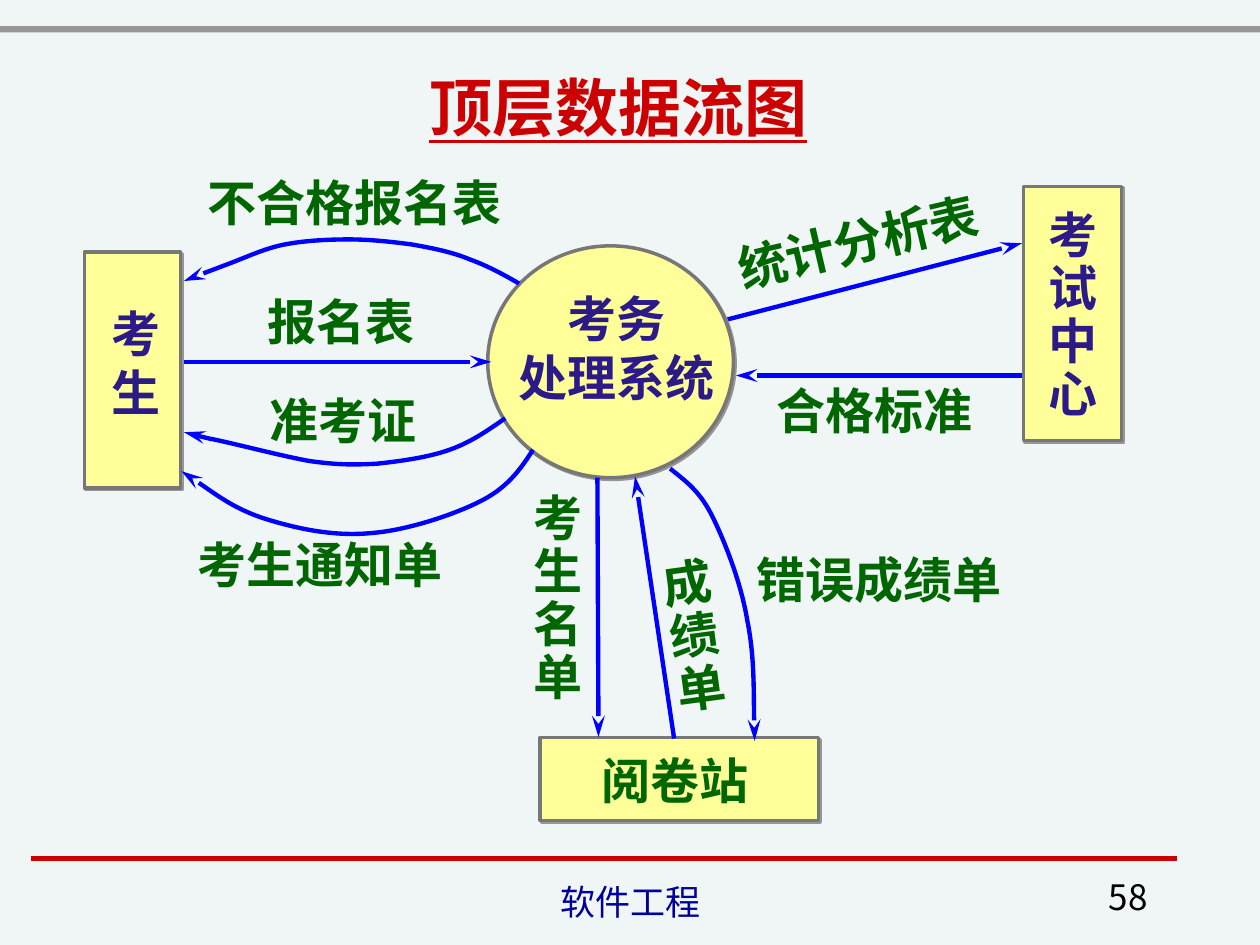
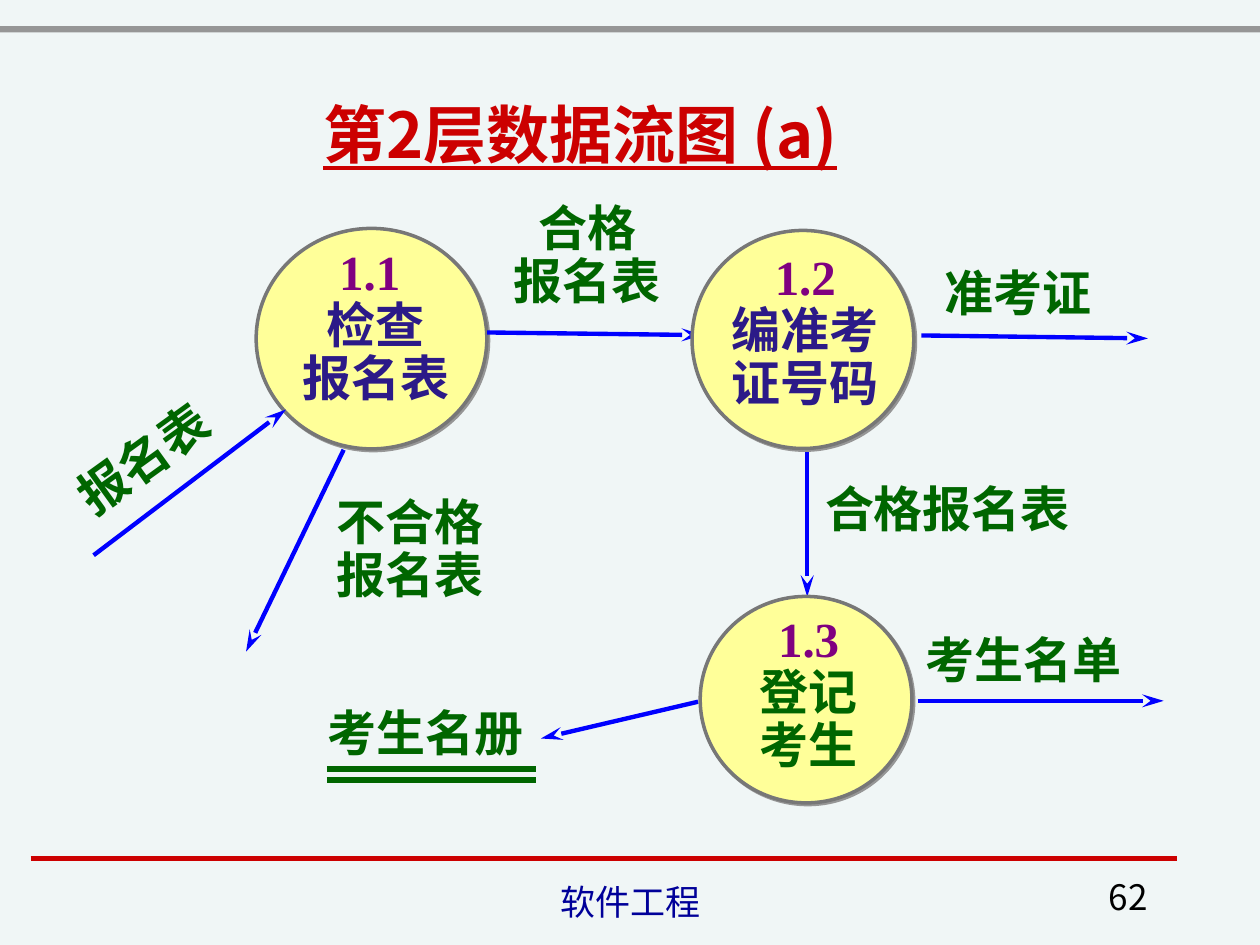
from collections import namedtuple

from lxml.etree import SubElement
from pptx import Presentation
from pptx.dml.color import RGBColor
from pptx.enum.shapes import MSO_CONNECTOR as CONN, MSO_SHAPE as SHAPE
from pptx.enum.text import MSO_ANCHOR as ANCHOR, PP_ALIGN as ALIGN
from pptx.oxml.ns import qn
from pptx.util import Pt

PAPER = RGBColor(0xF0, 0xF6, 0xF6)
GREY = RGBColor(0x96, 0x96, 0x96)
EDGE = RGBColor(0x77, 0x77, 0x77)
RED = RGBColor(0xCC, 0x00, 0x00)
YELLOW = RGBColor(0xFF, 0xFF, 0x99)
BLUE = RGBColor(0x00, 0x00, 0xFF)
NAVY = RGBColor(0x00, 0x00, 0x99)
INDIGO = RGBColor(0x2C, 0x1A, 0x88)
GREEN = RGBColor(0x00, 0x66, 0x00)
PURPLE = RGBColor(0x80, 0x00, 0x80)
BLACK = RGBColor(0x00, 0x00, 0x00)

SANS = "Noto Sans CJK SC"
SANS_JP = "Noto Sans CJK JP"
SERIF = "Times New Roman"
NARROW = "Arial Narrow"
TIGHT = 0.9

Region = namedtuple("Region", "s x y w h")


def place(g, box):
    x, y, w, h = box
    return Pt(g.x + x), Pt(g.y + y), Pt(w), Pt(h)


def add_text(g, box, text, size=28, color=GREEN, first_color=None, font=SERIF,
             ea=SANS, bold=True, underline=None, align=ALIGN.LEFT,
             anchor=ANCHOR.TOP, leading=None, rotation=0):
    tb = g.s.shapes.add_textbox(*place(g, box))
    tb.rotation = rotation
    tf = tb.text_frame
    tf.word_wrap = True
    tf.vertical_anchor = anchor
    for i, line in enumerate(text.split("\n")):
        p = tf.add_paragraph() if i else tf.paragraphs[0]
        p.alignment = align
        p.line_spacing = leading
        r = p.add_run()
        r.text = line
        f = r.font
        f.size, f.bold, f.underline, f.name = Pt(size), bold, underline, font
        f.color.rgb = color if i or first_color is None else first_color
        SubElement(r._r.get_or_add_rPr(), qn("a:ea"), typeface=ea)


def add_title(g, box, text, **style):
    add_text(g, box, text, size=36, color=RED, underline=True, **style)


def add_line(g, start, end, color=BLUE, width=2.5, arrow=True):
    (x1, y1), (x2, y2) = start, end
    c = g.s.shapes.add_connector(CONN.STRAIGHT, Pt(g.x + x1), Pt(g.y + y1),
                                 Pt(g.x + x2), Pt(g.y + y2))
    c.line.color.rgb = color
    c.line.width = Pt(width)
    if arrow:
        add_head(c)
    SubElement(c._element.spPr, qn("a:effectLst"))


def add_head(shape):
    SubElement(shape.line._get_or_add_ln(), qn("a:tailEnd"),
               type="stealth", w="med", len="lg")


def add_curve(g, start, *segments):
    ends = [(Pt(g.x + x), Pt(g.y + y)) for _, _, (x, y) in segments]
    fb = g.s.shapes.build_freeform(Pt(g.x + start[0]), Pt(g.y + start[1]))
    fb.add_line_segments(ends, close=False)
    sp = fb.convert_to_shape()
    for line, segment in zip(list(sp._element.iter(qn("a:lnTo"))), segments):
        outline = line.getparent()
        bend = SubElement(outline, qn("a:cubicBezTo"))
        for x, y in segment:
            SubElement(bend, qn("a:pt"), x=str(Pt(g.x + x) - sp.left),
                       y=str(Pt(g.y + y) - sp.top))
        outline.remove(line)
    sp.fill.background()
    sp.line.color.rgb = BLUE
    sp.line.width = Pt(2.5)
    sp.shadow.inherit = False
    add_head(sp)


def add_node(g, kind, box, text_box, text, **style):
    sp = g.s.shapes.add_shape(kind, *place(g, box))
    sp.fill.solid()
    sp.fill.fore_color.rgb = YELLOW
    sp.line.color.rgb = EDGE
    sp.line.width = Pt(2)
    sp.shadow.inherit = False
    effects = sp._element.spPr.find(qn("a:effectLst"))
    shadow = SubElement(effects, qn("a:outerShdw"), blurRad="0",
                        dist=str(Pt(1.4)), dir="2700000", algn="ctr")
    SubElement(shadow, qn("a:srgbClr"), val=str(GREY))
    x, y, w, h = box
    add_text(Region(g.s, g.x + x, g.y + y, w, h), text_box, text, **style)


def add_process(g, box, text_box, text, color=INDIGO):
    add_node(g, SHAPE.OVAL, box, text_box, text, color=color,
             first_color=PURPLE, align=ALIGN.CENTER, leading=TIGHT)


def add_frame(g, number):
    band = g.s.shapes.add_shape(SHAPE.RECTANGLE, *place(g, (0, 15, g.w, 3.6)))
    band.fill.solid()
    band.fill.fore_color.rgb = GREY
    band.line.fill.background()
    band.shadow.inherit = False
    add_line(g, (17.5, 490.4), (672.5, 490.4), RED, 3, arrow=False)
    footer = dict(size=20, bold=False, anchor=ANCHOR.BOTTOM)
    add_text(g, (246.2, 502.6, 228, 28), "软件工程", color=NAVY, font=NARROW,
             align=ALIGN.CENTER, **footer)
    add_text(g, (513, 500.5, 150, 27.4), str(number), color=BLACK, font=SANS,
             align=ALIGN.RIGHT, **footer)


def draw_top_level(g):
    add_line(g, (597.6, 214.6), (420.5, 214.6))
    add_line(g, (403.2, 185.8), (584, 139))
    add_title(g, (161.3, 36, 383.8, 49.7), "顶层数据流图",
              align=ALIGN.CENTER, anchor=ANCHOR.MIDDLE)

    add_node(g, SHAPE.RECTANGLE, (48.2, 144, 54.9, 134.8),
             (8.7, 26, 46.8, 75), "考\n生", color=INDIGO, font=SANS)
    add_node(g, SHAPE.OVAL, (278.7, 140.5, 140.4, 132.5),
             (1.7, 21, 143.3, 75), "考务\n处理系统", color=INDIGO, font=SANS,
             align=ALIGN.CENTER)
    add_node(g, SHAPE.RECTANGLE, (584.8, 106.6, 56.2, 145.2),
             (7, 10.4, 46.8, 128), "考\n试\n中\n心", color=INDIGO, font=SANS,
             leading=TIGHT)
    add_node(g, SHAPE.RECTANGLE, (308.7, 421.5, 159.1, 47.5),
             (28.2, 4, 105, 41), "阅卷站")

    add_line(g, (105.1, 206.8), (280.8, 206.8))
    add_line(g, (341.4, 273), (342, 421.2))
    add_line(g, (385.2, 422), (362.9, 272.2))

    for box, label, style in [
        ((111.6, 95, 221.8, 41), "不合格报名表", {}),
        ((145.6, 163, 104.4, 41), "报名表", {}),
        ((146.9, 219.6, 144, 41), "准考证", {}),
        ((105.8, 301.7, 198, 41), "考生通知单", {}),
        ((375.8, 314.8, 54, 98), "成\n绩\n单", dict(leading=TIGHT, rotation=-7.8)),
        ((436.5, 213.8, 137.5, 41), "合格标准", {}),
        ((421, 314.2, 162.7, 37.4), "错误成绩单",
         dict(leading=TIGHT, align=ALIGN.CENTER)),
        ((298, 278.8, 54, 128.2), "考生名\n单", dict(leading=TIGHT)),
        ((412.8, 113.8, 185.8, 41), "统计分析表", dict(rotation=-13.2)),
    ]:
        add_text(g, box, label, font=SANS, **style)

    add_curve(g, (296.6, 162),
              ((288, 157), (278.6, 151.9), (268.6, 148.3)),
              ((258.5, 144), (247, 141.8), (235.4, 139.7)),
              ((223.9, 138.2), (211.7, 136.8), (199.4, 136.8)),
              ((187.2, 136.8), (174.2, 137.5), (162.7, 139.7)),
              ((151.9, 141.8), (142.6, 146.2), (133.2, 149.8)),
              ((123.8, 153.4), (110.2, 158.4), (105.1, 160.6)))
    add_curve(g, (288.7, 239),
              ((279.4, 245.5), (269.3, 252.7), (257, 257)),
              ((244.8, 261.4), (229, 263.5), (215.3, 265)),
              ((201.6, 265.7), (193, 265.7), (177.1, 263.5)),
              ((160.6, 260.6), (131, 252.7), (119.5, 250.6)),
              ((107.3, 247.7), (107.3, 247.7), (105.1, 247)))
    add_curve(g, (304.6, 257),
              ((298.1, 267.1), (290.9, 277.9), (275.8, 285.8)),
              ((260.6, 293.8), (232.6, 303.1), (212.4, 304.6)),
              ((191.5, 306.7), (170.6, 302.4), (151.9, 296.6)),
              ((133.9, 290.9), (111.6, 274.3), (103.7, 269.3)))
    add_curve(g, (383, 267.8),
              ((391, 274.3), (399.6, 280.1), (406.8, 294.5)),
              ((414, 308.9), (423.4, 332.6), (427, 354.2)),
              ((431.3, 375.1), (430.6, 411.8), (431.3, 423.4)))


def draw_second_level(g):
    add_title(g, (177.5, 51.1, 339, 50.4), "第2层数据流图 (a)",
              font=SANS_JP, ea=SANS_JP)
    add_process(g, (146.4, 130.5, 131.8, 126),
                (-6.5, 8, 149.8, 98), "1.1 \n检查\n报名表")
    for start, end in [
        ((53.5, 317.3), (163.4, 234)),
        ((278.4, 190), (401.8, 191.5)),
        ((526.5, 191.7), (656, 193.4)),
        ((196.4, 257), (140.6, 372.4)),
        ((461.3, 257), (461.3, 341.1)),
        ((398.9, 401), (309.1, 422)),
        ((524.4, 400.5), (665, 400.5)),
    ]:
        add_line(g, start, end)
    add_process(g, (395.5, 131.7, 126.7, 124.6),
                (2.7, 9.6, 124, 98), "1.2\n编准考证号码")
    add_process(g, (400.1, 340.8, 121, 118),
                (-1, 7.2, 126, 98), "1.3\n登记\n考生", color=GREEN)

    for box, label, style in [
        ((31, 236.2, 116, 41), "报名表", dict(rotation=-35.8)),
        ((532.8, 146.2, 108.7, 41), "准考证", {}),
        ((185.2, 281, 108.7, 67.7), "不合格\n报名表", dict(leading=TIGHT)),
        ((180, 398, 130, 41), "考生名册", {}),
        ((521.7, 356, 135.4, 41), "考生名单", {}),
        ((266.4, 113, 138.2, 67.7), "合格\n报名表",
         dict(leading=TIGHT, align=ALIGN.CENTER)),
        ((464.4, 270, 160, 41), "合格报名表", {}),
    ]:
        add_text(g, box, label, **style)
    for y in (439.4, 445.7):
        add_line(g, (186.8, y), (306, y), GREEN, 3, arrow=False)


def main():
    prs = Presentation()
    prs.slide_width, prs.slide_height = Pt(720), Pt(540)
    bg = prs.slide_master.background.fill
    bg.solid()
    bg.fore_color.rgb = PAPER
    for draw, number in [(draw_top_level, 58), (draw_second_level, 62)]:
        s = prs.slides.add_slide(prs.slide_layouts[6])
        page = Region(s, 0, 0, 720, 540)
        add_frame(page, number)
        draw(page)
    prs.save("out.pptx")


if __name__ == "__main__":
    main()
